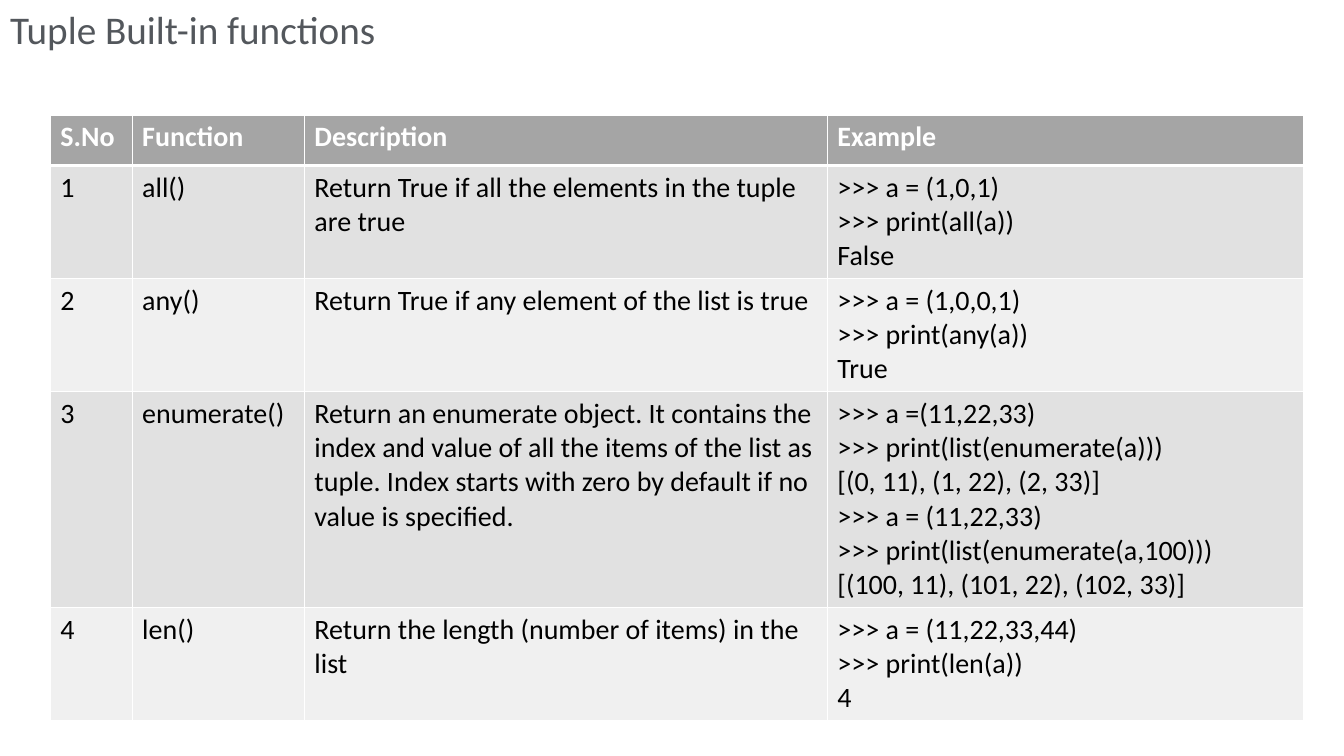
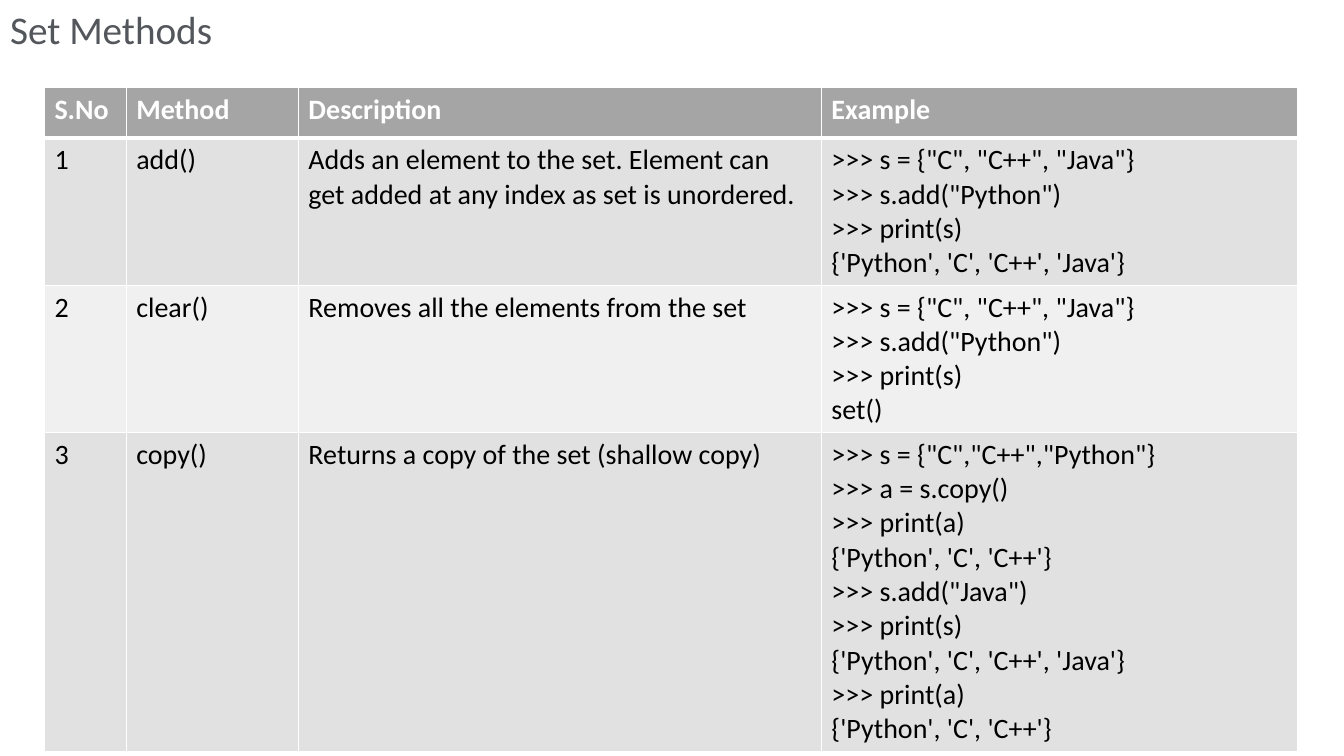
from lxml.etree import SubElement
from pptx import Presentation
from pptx.dml.color import RGBColor
from pptx.enum.text import MSO_ANCHOR, MSO_AUTO_SIZE, PP_ALIGN
from pptx.oxml.ns import qn
from pptx.util import Cm, Pt

TUPLE_FUNCTIONS = [
    ("all()", "Return True if all the elements in the tuple are true",
     [">>> a = (1,0,1)", ">>> print(all(a))", "False"]),
    ("any()", "Return True if any element of the list is true",
     [">>> a = (1,0,0,1)", ">>> print(any(a))", "True"]),
    ("enumerate()",
     "Return an enumerate object. It contains the index and value of all "
     "the items of the list as tuple. Index starts with zero by default "
     "if no value is specified.",
     [">>> a =(11,22,33)", ">>> print(list(enumerate(a)))",
      "[(0, 11), (1, 22), (2, 33)]",
      ">>> a = (11,22,33)", ">>> print(list(enumerate(a,100)))",
      "[(100, 11), (101, 22), (102, 33)]"]),
    ("len()", "Return the length (number of items) in the list",
     [">>> a = (11,22,33,44)", ">>> print(len(a))", "4"]),
]

SET_METHODS = [
    ("add()",
     "Adds an element to the set. Element can get added at any index as set "
     "is unordered.",
     ['>>> s = {"C", "C++", "Java"}', '>>> s.add("Python")', ">>> print(s)",
      "{'Python', 'C', 'C++', 'Java'}"]),
    ("clear()", "Removes all the elements from the set",
     ['>>> s = {"C", "C++", "Java"}', '>>> s.add("Python")', ">>> print(s)",
      "set()"]),
    ("copy()", "Returns a copy of the set (shallow copy)",
     ['>>> s = {"C","C++","Python"}', ">>> a = s.copy()", ">>> print(a)",
      "{'Python', 'C', 'C++'}", '>>> s.add("Java")', ">>> print(s)",
      "{'Python', 'C', 'C++', 'Java'}", ">>> print(a)",
      "{'Python', 'C', 'C++'}"]),
]


def rgb(color):
    return RGBColor.from_string(color)


def write(tf, text, size=20, color="000000", bold=False, font="Calibri",
          align=PP_ALIGN.LEFT):
    """Fill a text frame, one paragraph for each line of text."""
    for i, line in enumerate(text.split("\n")):
        p = tf.paragraphs[0] if i == 0 else tf.add_paragraph()
        p.alignment = align
        r = p.add_run()
        r.text = line
        r.font.name = font
        r.font.size = Pt(size)
        r.font.bold = bold
        r.font.color.rgb = rgb(color)


def set_borders(cell, color, **widths):
    """Draw cell borders; widths in points are keyed L, R, T and B."""
    tc_pr = cell._tc.get_or_add_tcPr()
    for side, width in widths.items():
        ln = SubElement(tc_pr, qn(f"a:ln{side}"), w=str(Pt(width)))
        fill = SubElement(ln, qn("a:solidFill"))
        SubElement(fill, qn("a:srgbClr"), val=color)


class Deck:
    TITLE = "53575C"
    WHITE = "FFFFFF"
    HEADER = "A5A5A5"
    BANDS = ("F0F0F0", "E1E1E1")
    COLUMNS = (2.06, 4.34, 13.18, 12.01)
    HEADER_HEIGHT = 1.27
    LINE_HEIGHT = 0.85
    CELL_PADDING = 0.25

    def __init__(self):
        self.prs = Presentation()
        self.prs.slide_width = Cm(33.87)
        self.prs.slide_height = Cm(19.05)
        self.s = None

    def add_slide(self, title):
        self.s = self.prs.slides.add_slide(self.prs.slide_layouts[5])
        sp = self.s.shapes.title
        sp.left, sp.top = Cm(0), Cm(0)
        sp.width, sp.height = self.prs.slide_width, Cm(1.45)
        tf = sp.text_frame
        tf.auto_size = MSO_AUTO_SIZE.NONE
        tf.vertical_anchor = MSO_ANCHOR.TOP
        write(tf, title, size=28, color=self.TITLE)

    def add_cell(self, cell, text, row):
        header = row == 0
        set_borders(cell, self.WHITE, L=1, R=1, T=3 if row == 1 else 1,
                    B=3 if header else 1)
        cell.fill.solid()
        cell.fill.fore_color.rgb = rgb(self.HEADER if header
                                       else self.BANDS[row % 2])
        write(cell.text_frame, text, bold=header,
              color=self.WHITE if header else "000000")

    def add_reference_table(self, left, top, kind, entries):
        """Add a numbered table of entries: name, description, code lines."""
        rows = [("S.No", kind, "Description", "Example")]
        heights = [self.HEADER_HEIGHT]
        for number, (name, description, code) in enumerate(entries, 1):
            rows.append((str(number), name, description, "\n".join(code)))
            heights.append(self.LINE_HEIGHT * len(code) + self.CELL_PADDING)
        table = self.s.shapes.add_table(
            len(rows), len(self.COLUMNS), Cm(left), Cm(top),
            Cm(sum(self.COLUMNS)), Cm(sum(heights))).table
        for column, width in zip(table.columns, self.COLUMNS):
            column.width = Cm(width)
        for i, (row, height) in enumerate(zip(rows, heights)):
            table.rows[i].height = Cm(height)
            for j, text in enumerate(row):
                self.add_cell(table.cell(i, j), text, i)


def main():
    deck = Deck()
    deck.add_slide("Tuple Built-in functions")
    deck.add_reference_table(1.27, 2.9, "Function", TUPLE_FUNCTIONS)
    deck.add_slide("Set Methods")
    deck.add_reference_table(1.12, 2.21, "Method", SET_METHODS)
    deck.prs.save("out.pptx")


if __name__ == "__main__":
    main()
